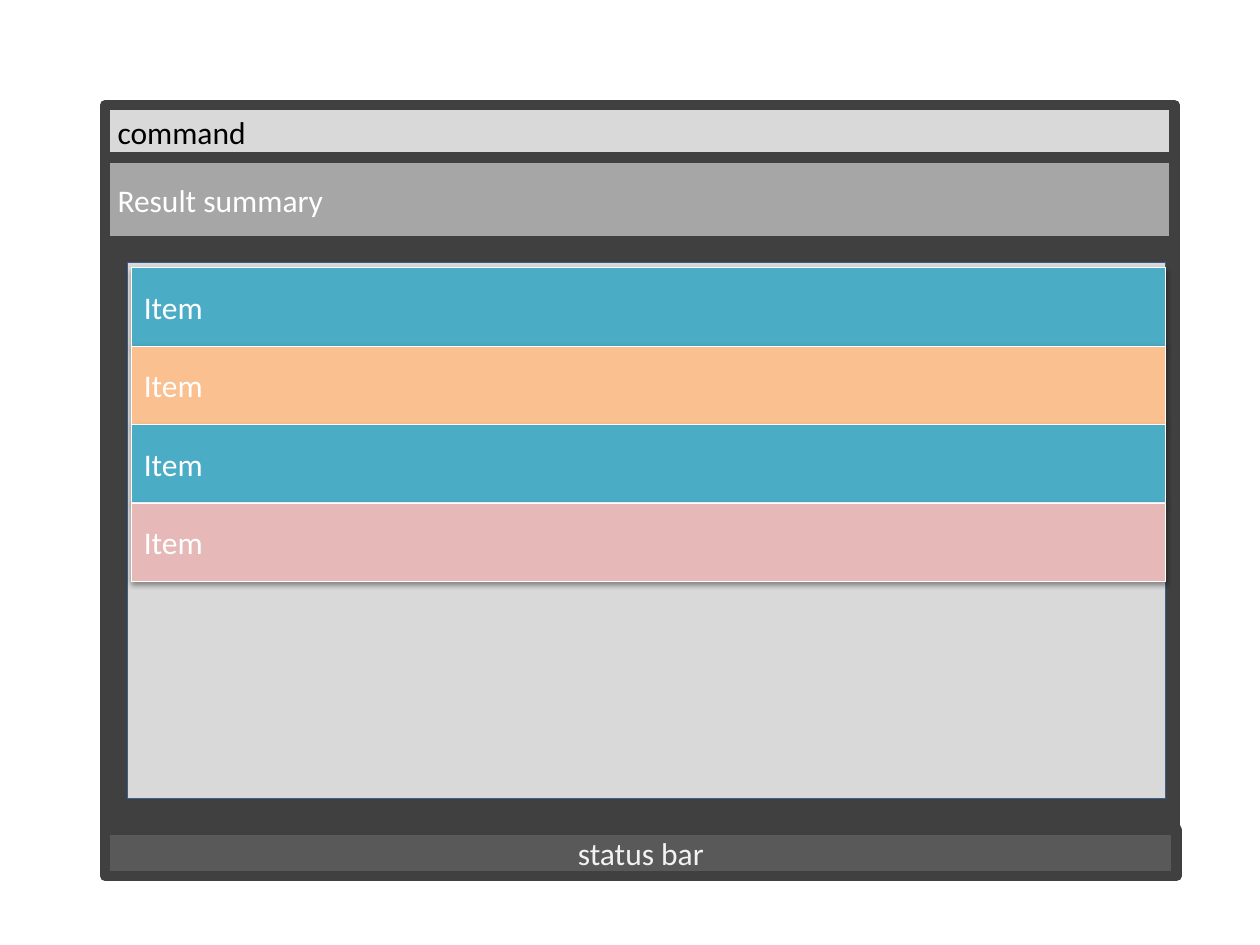
import lxml.etree
import pptx
import pptx.dml.color
import pptx.enum.shapes
import pptx.enum.text
import pptx.oxml
import pptx.oxml.ns
import pptx.util

Cm = pptx.util.Cm
Pt = pptx.util.Pt
ALIGN = pptx.enum.text.PP_ALIGN

FRAME = "404040"
LEFT, WIDTH = 2.12, 21.56
ITEM_TOP, ITEM_HEIGHT = 5.4, 1.58
ITEM_FILLS = ["4BACC6", "FAC090", "4BACC6", "E6B9B8"]


def rgb(value):
    return pptx.dml.color.RGBColor.from_string(value)


def add_box(shapes, left, top, width, height, fill, line=FRAME, weight=6):
    s = shapes.add_shape(pptx.enum.shapes.MSO_SHAPE.RECTANGLE,
                         Cm(left), Cm(top), Cm(width), Cm(height))
    s.shadow.inherit = False
    s.fill.solid()
    s.fill.fore_color.rgb = rgb(fill)
    s.line.color.rgb = rgb(line)
    s.line.width = Pt(weight)
    return s


def set_label(s, text, color="FFFFFF", align=ALIGN.LEFT):
    tf = s.text_frame
    tf.vertical_anchor = pptx.enum.text.MSO_ANCHOR.MIDDLE
    p = tf.paragraphs[0]
    p.text = text
    p.alignment = align
    p.font.name = "Calibri"
    p.font.size = Pt(18)
    p.font.color.rgb = rgb(color)


def add_drop_shadow(s):
    qn = pptx.oxml.ns.qn
    effects = s._element.spPr.find(qn("a:effectLst"))
    shadow = lxml.etree.SubElement(
        effects, qn("a:outerShdw"), blurRad="40000", dist="20000",
        dir="5400000", rotWithShape="0")
    color = lxml.etree.SubElement(shadow, qn("a:srgbClr"), val="000000")
    lxml.etree.SubElement(color, qn("a:alpha"), val="38000")


def add_item(shapes, index, fill):
    s = add_box(shapes, 2.65, ITEM_TOP + index * ITEM_HEIGHT, 20.85,
                ITEM_HEIGHT, fill, "FFFFFF", 0.5)
    add_drop_shadow(s)
    set_label(s, "Item")


def main():
    prs = pptx.Presentation()
    prs.slide_width, prs.slide_height = Cm(25.4), Cm(19.05)
    shapes = prs.slides.add_slide(prs.slide_layouts[6]).shapes

    command = add_box(shapes, LEFT, 2.12, WIDTH, 1.06, "D9D9D9")
    set_label(command, "command", "000000")
    summary = add_box(shapes, LEFT, 3.18, WIDTH, 1.69, "A6A6A6")
    set_label(summary, "Result summary")

    add_box(shapes, LEFT, 4.87, WIDTH, 11.85, FRAME)
    add_box(shapes, 2.57, 5.29, 20.93, 10.8, "D9D9D9", "3A5F8C", 0.25)
    for index, fill in enumerate(ITEM_FILLS):
        add_item(shapes, index, fill)

    status = add_box(shapes, LEFT, 16.72, 21.6, 0.94, "595959")
    set_label(status, "status bar", "F2F2F2", ALIGN.CENTER)

    prs.save("out.pptx")


if __name__ == "__main__":
    main()
